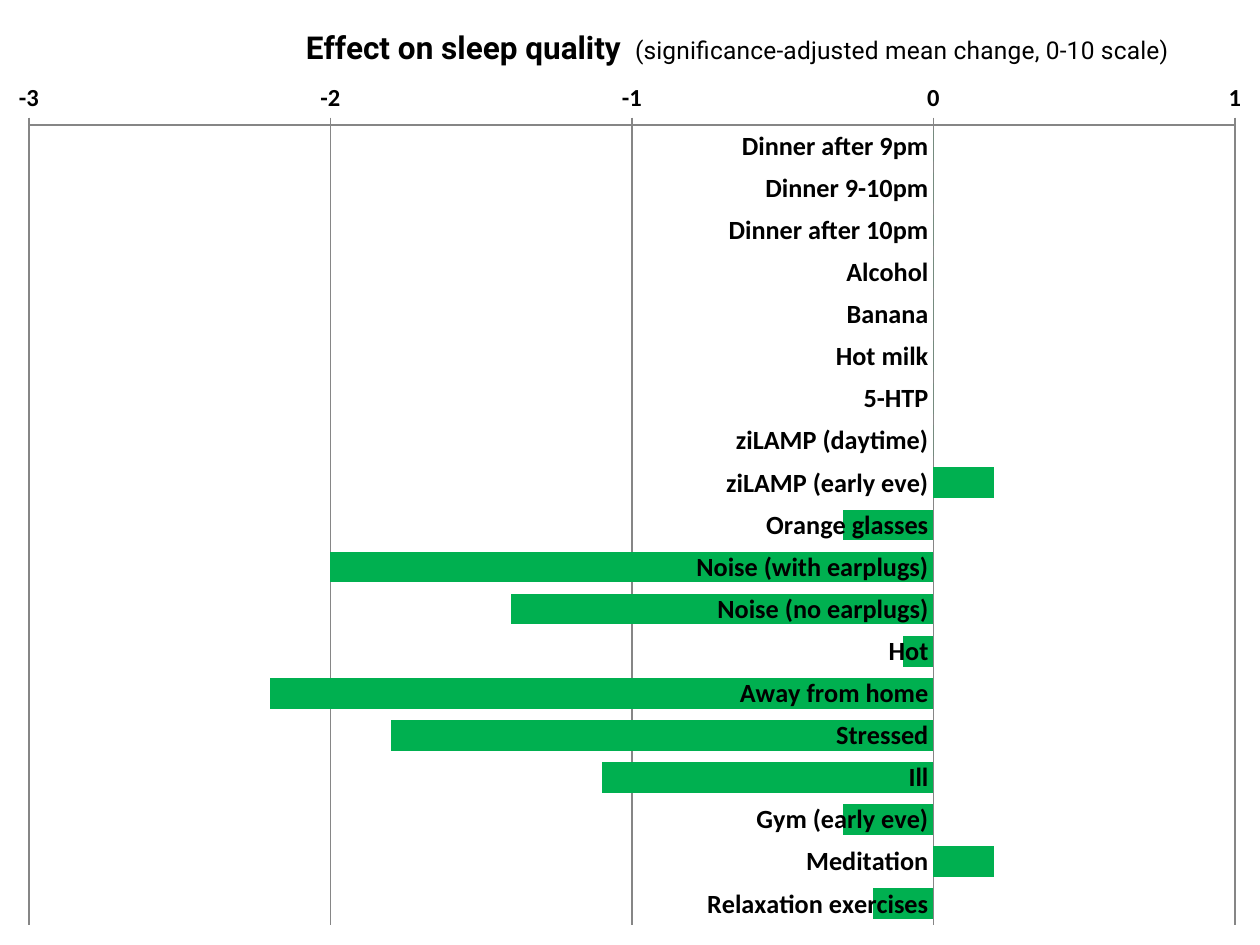
from dataclasses import dataclass

from lxml.etree import SubElement
from pptx import Presentation
from pptx.chart.data import CategoryChartData
from pptx.dml.color import RGBColor
from pptx.enum.chart import XL_CHART_TYPE, XL_TICK_LABEL_POSITION, XL_TICK_MARK
from pptx.oxml.ns import qn
from pptx.util import Emu, Pt

SLIDE_WIDTH, SLIDE_HEIGHT = 1260, 945

# Mean change in sleep quality for each factor
EFFECTS = {
    "Dinner after 9pm": 0,
    "Dinner 9-10pm": 0,
    "Dinner after 10pm": 0,
    "Alcohol": 0,
    "Banana": 0,
    "Hot milk": 0,
    "5-HTP": 0,
    "ziLAMP (daytime)": 0,
    "ziLAMP (early eve)": 0.2,
    "Orange glasses": -0.3,
    "Noise (with earplugs)": -2,
    "Noise (no earplugs)": -1.4,
    "Hot": -0.1,
    "Away from home": -2.2,
    "Stressed": -1.8,
    "Ill": -1.1,
    "Gym (early eve)": -0.3,
    "Meditation": 0.2,
    "Relaxation exercises": -0.2,
}


@dataclass(frozen=True)
class Theme:
    text: RGBColor = RGBColor(0x00, 0x00, 0x00)
    bar: RGBColor = RGBColor(0x00, 0xB0, 0x50)
    rule: RGBColor = RGBColor(0x86, 0x86, 0x86)
    body_font: str = "Calibri"
    heading_font: str = "Roboto"
    base_size: int = 10
    factor_size: int = 15
    scale_size: int = 14
    heading_size: int = 18
    detail_size: int = 14
    axis_width: float = 1
    grid_width: float = 0.75


def px(length):
    return Emu(round(length * 914400 / 126))


def apply(target, **values):
    for name, value in values.items():
        setattr(target, name, value)


def place(parent, index, left, top, **values):
    """Give a chart part a manual layout, from px to fractions of the chart."""
    for old in parent.findall(qn("c:layout")):
        parent.remove(old)
    layout = SubElement(parent, qn("c:layout"))
    manual = SubElement(layout, qn("c:manualLayout"))
    if values:
        SubElement(manual, qn("c:layoutTarget")).set("val", "inner")
    fractions = {"x": left / SLIDE_WIDTH, "y": top / SLIDE_HEIGHT, **values}
    for name, value in {"xMode": "edge", "yMode": "edge", **fractions}.items():
        SubElement(manual, qn(f"c:{name}")).set("val", str(value))
    parent.insert(index, layout)


class SlideBuilder:
    def __init__(self, slide, theme):
        self.slide = slide
        self.theme = theme

    def style_font(self, font, size, bold=False, name=None):
        apply(font, size=Pt(size), bold=bold, name=name or self.theme.body_font)
        font.color.rgb = self.theme.text

    def style_rule(self, line, width):
        line.color.rgb = self.theme.rule
        line.width = Pt(width)

    def bar_chart(self, left, top, width, height, effects):
        effect_data = CategoryChartData()
        effect_data.categories = list(effects)
        effect_data.add_series("Series 1", list(effects.values()))
        chart = self.slide.shapes.add_chart(
            XL_CHART_TYPE.BAR_CLUSTERED,
            px(left), px(top), px(width), px(height), effect_data,
        ).chart
        apply(chart, has_legend=False, has_title=False)
        self.style_font(chart.font, self.theme.base_size)

        bars = chart.plots[0]
        apply(bars, gap_width=37, overlap=13, vary_by_categories=False)
        effect_series = bars.series[0]
        effect_series.invert_if_negative = False
        effect_series.format.fill.solid()
        effect_series.format.fill.fore_color.rgb = self.theme.bar
        place(chart._chartSpace.chart.plotArea, 0, 29, 125,
              w=1206 / SLIDE_WIDTH, h=800 / SLIDE_HEIGHT)
        return chart

    def style_axis(self, axis, size, **values):
        apply(axis, minor_tick_mark=XL_TICK_MARK.NONE,
              tick_label_position=XL_TICK_LABEL_POSITION.NEXT_TO_AXIS, **values)
        self.style_font(axis.tick_labels.font, size, bold=True)
        self.style_rule(axis.format.line, self.theme.axis_width)

    def factor_axis(self, axis):
        self.style_axis(axis, self.theme.factor_size, reverse_order=True,
                        has_major_gridlines=False,
                        major_tick_mark=XL_TICK_MARK.NONE)

    def scale_axis(self, axis):
        self.style_axis(axis, self.theme.scale_size, minimum_scale=-3,
                        maximum_scale=1, major_unit=1, has_major_gridlines=True,
                        major_tick_mark=XL_TICK_MARK.OUTSIDE)
        apply(axis.tick_labels, number_format="0", number_format_is_linked=False)
        self.style_rule(axis.major_gridlines.format.line, self.theme.grid_width)

    def axis_heading(self, axis, left, top, heading, detail):
        title = axis.axis_title
        paragraph = title.text_frame.paragraphs[0]
        for text, size, bold in (
            (heading, self.theme.heading_size, True),
            (detail, self.theme.detail_size, False),
        ):
            run = paragraph.add_run()
            run.text = text
            self.style_font(run.font, size, bold, self.theme.heading_font)
        # Keep the heading horizontal above the scale
        body = title._element.find(".//" + qn("a:bodyPr"))
        for name, value in {"rot": "0", "vert": "horz"}.items():
            body.set(name, value)
        place(title._element, 1, left, top)


def main():
    presentation = Presentation()
    apply(presentation, slide_width=px(SLIDE_WIDTH), slide_height=px(SLIDE_HEIGHT))
    blank_layout = presentation.slide_layouts[6]
    builder = SlideBuilder(presentation.slides.add_slide(blank_layout), Theme())

    # Bars
    sleep_chart = builder.bar_chart(0, 0, SLIDE_WIDTH, SLIDE_HEIGHT, EFFECTS)

    # Axes and heading
    builder.factor_axis(sleep_chart.category_axis)
    builder.scale_axis(sleep_chart.value_axis)
    builder.axis_heading(
        sleep_chart.value_axis, 302, 24,
        "Effect on sleep quality ",
        " (significance-adjusted mean change, 0-10 scale)",
    )

    presentation.save("out.pptx")


if __name__ == "__main__":
    main()
